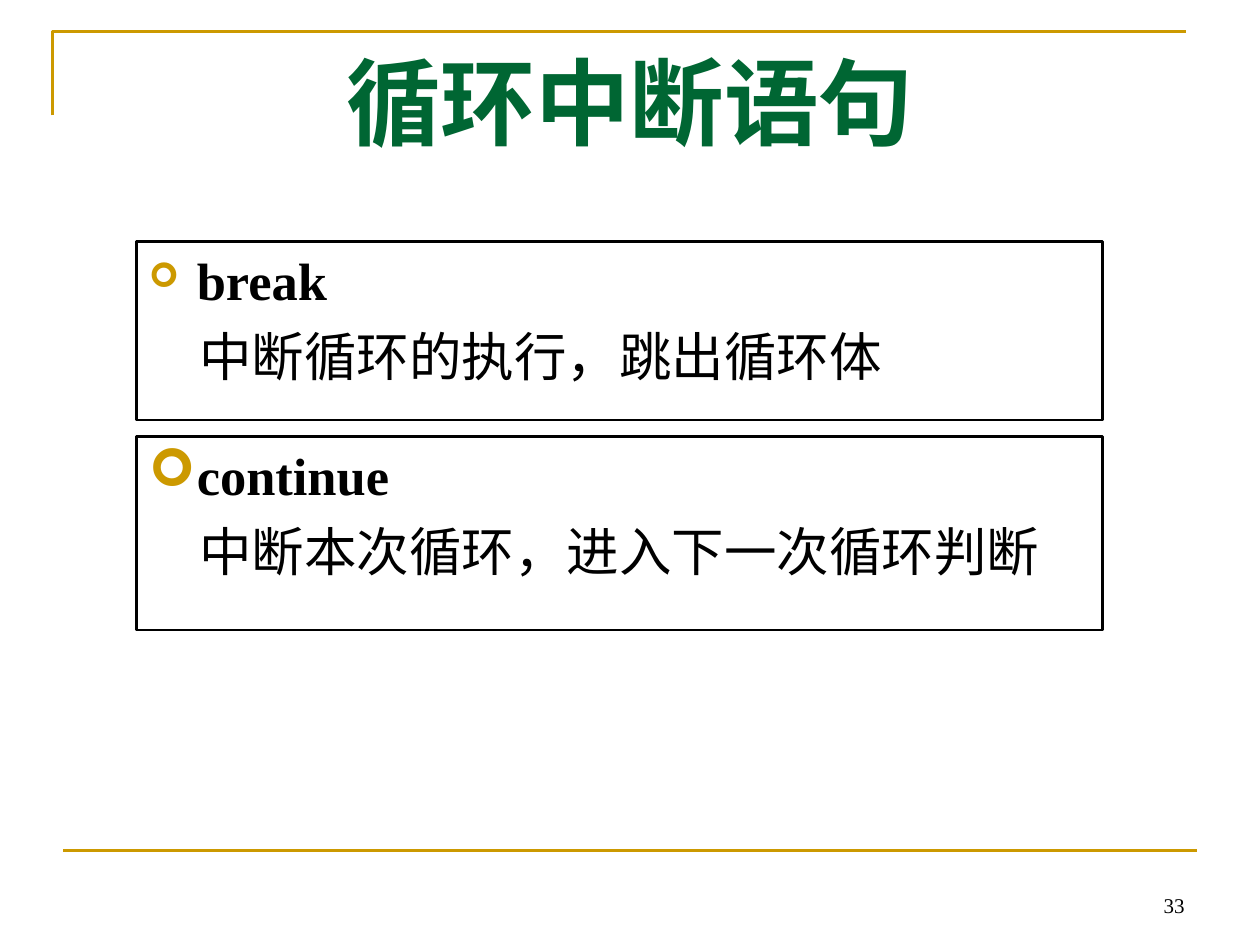
"""Build the slide on loop interruption statements."""
from lxml import etree
from pptx import Presentation
from pptx import util as u
from pptx.dml.color import RGBColor
from pptx.enum import shapes, text
from pptx.oxml.ns import qn

COLORS = {"gold": "CC9900", "green": "006633", "black": "000000"}
CELL = u.Inches(1) // 12
SERIF, SANS = "Times New Roman", "Arial"


def grid(*cells):
    return [round(cell * CELL) for cell in cells]


def add_text(frame, words, size=30, font=SERIF, color="black", bold=False,
             align=text.PP_ALIGN.LEFT, margin=0, hanging=0, before=0, bullet=None):
    paragraph = frame.paragraphs[0]
    if paragraph.runs:
        paragraph = frame.add_paragraph()
    properties = paragraph._p.get_or_add_pPr()
    properties.set("marL", str(u.Inches(margin)))
    properties.set("indent", str(-u.Inches(hanging)))
    if bullet:
        bullet_color = etree.SubElement(properties, qn("a:buClr"))
        etree.SubElement(bullet_color, qn("a:srgbClr"), val=COLORS["gold"])
        etree.SubElement(properties, qn("a:buSzPct"), val=str(bullet * 1000))
        etree.SubElement(properties, qn("a:buFont"), typeface="Wingdings")
        etree.SubElement(properties, qn("a:buChar"), char="➢")
    paragraph.alignment = align
    paragraph.space_before = u.Pt(before)
    run = paragraph.add_run()
    run.text = words
    run.font.size, run.font.name, run.font.bold = u.Pt(size), font, bold
    run.font.color.rgb = RGBColor.from_string(COLORS[color])


presentation = Presentation()
presentation.slide_width, presentation.slide_height = grid(120, 90)
slide = presentation.slides.add_slide(presentation.slide_layouts[6])

builder = slide.shapes.build_freeform(*grid(5, 11))
builder.add_line_segments([grid(5, 3), grid(113, 3)], close=False)
corner = builder.convert_to_shape()
corner.shadow.inherit = False
corner.fill.background()

footer_rule = slide.shapes.add_connector(shapes.MSO_CONNECTOR.STRAIGHT, *grid(6, 81, 114, 81))
etree.SubElement(footer_rule._element.spPr, qn("a:effectLst"))
for rule in (corner, footer_rule):
    rule.line.color.rgb = RGBColor.from_string(COLORS["gold"])
    rule.line.width = u.Pt(1.5)

number = slide.shapes.add_textbox(*grid(86, 82, 28, 6)).text_frame
number.word_wrap = True
number.vertical_anchor = text.MSO_ANCHOR.BOTTOM
add_text(number, "33", size=12, align=text.PP_ALIGN.RIGHT)

title = slide.shapes.add_textbox(*grid(6, 3.6, 108, 15)).text_frame
title.word_wrap = True
add_text(title, "循环中断语句", size=54, color="green", bold=True, align=text.PP_ALIGN.CENTER)

statements = [
    ("break", "中断循环的执行，跳出循环体", 23, 17, 65),
    ("continue", "中断本次循环，进入下一次循环判断", 41.6, 18.4, 100),
]
for keyword, meaning, top, height, bullet in statements:
    box = slide.shapes.add_shape(shapes.MSO_SHAPE.RECTANGLE, *grid(13, top, 92, height))
    box.shadow.inherit = False
    box.fill.background()
    box.line.color.rgb = RGBColor.from_string(COLORS["black"])
    box.line.width = u.Pt(1.5)
    frame = box.text_frame
    frame.word_wrap = True
    frame.vertical_anchor = text.MSO_ANCHOR.TOP
    add_text(frame, keyword, bold=True, margin=0.38, hanging=0.38, bullet=bullet)
    add_text(frame, meaning, font=SANS, margin=0.4, before=7.5)

presentation.save("out.pptx")
